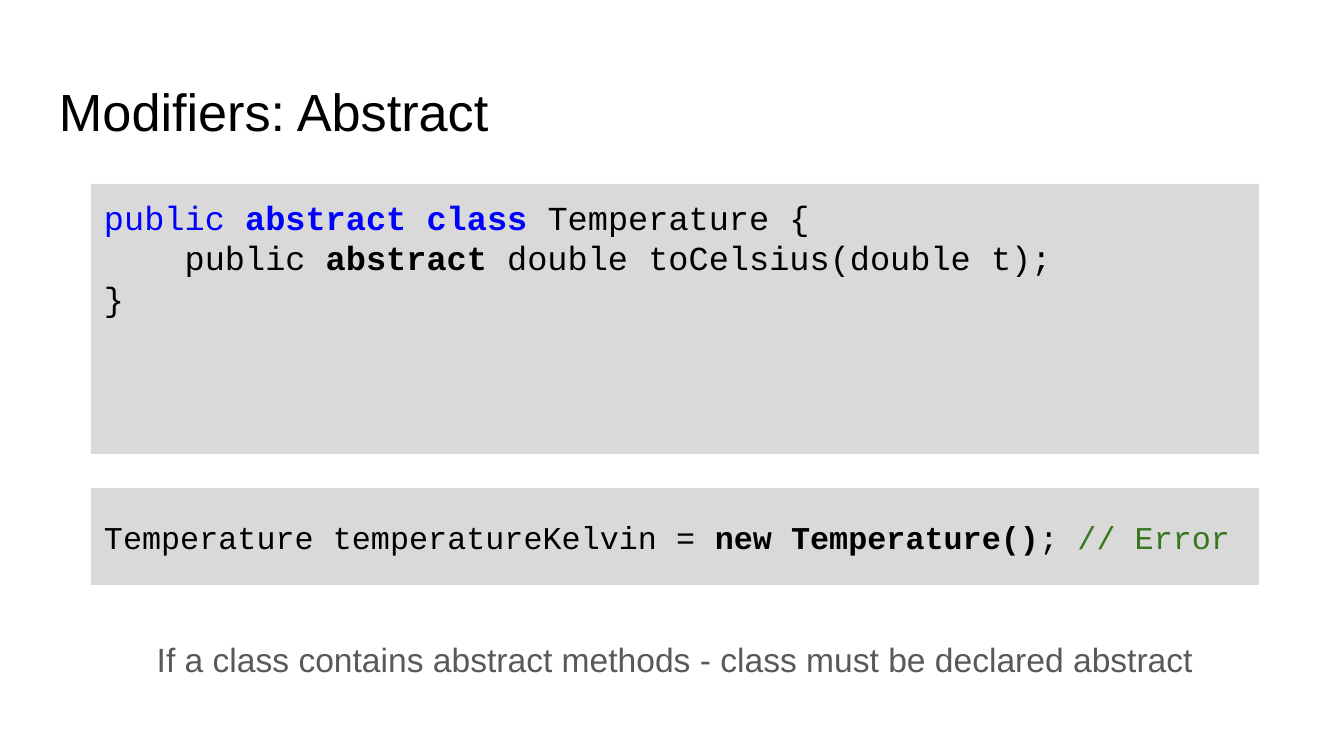
from dataclasses import dataclass
from pptx import Presentation
from pptx.dml.color import RGBColor as Rgb
from pptx.enum.shapes import MSO_SHAPE as Shape
from pptx.enum.text import MSO_ANCHOR as Anchor, MSO_AUTO_SIZE as Fit, PP_ALIGN as Align
from pptx.util import Emu, Pt


@dataclass(frozen=True)
class Theme:
    sans: str = "Arial"
    mono: str = "Courier New"
    black: str = "000000"
    blue: str = "0000FF"
    green: str = "38761D"
    gray: str = "595959"
    panel: str = "D9D9D9"
    head: int = 28
    body: int = 18
    small: int = 17


T = Theme()
LEFT, WIDE, PAD = 91, 1168, 13


def px(n):
    return Emu(round(n * 914400 / 134.4))


def place(shape, *box):
    shape.left, shape.top, shape.width, shape.height = map(px, box)


def frame(shape, anchor=Anchor.TOP):
    tf = shape.text_frame
    tf.word_wrap = True
    tf.auto_size = Fit.NONE
    tf.vertical_anchor = anchor
    tf.margin_left = tf.margin_right = tf.margin_top = tf.margin_bottom = px(PAD)
    return tf


def style(run, font, size, color, bold=False):
    run.font.name = font
    run.font.size = Pt(size)
    run.font.color.rgb = Rgb.from_string(color)
    run.font.bold = bold


def title(slide, text):
    shape = slide.shapes.title
    place(shape, 46, 66, 1253, 84)
    para = frame(shape).paragraphs[0]
    para.text = text
    para.alignment = Align.LEFT
    style(para.runs[0], T.sans, T.head, T.black)


def code(slide, top, high, lines, size, anchor=Anchor.TOP):
    """Each line is (indent in characters, [(text, color, bold), ...])."""
    shape = slide.shapes.add_shape(Shape.RECTANGLE, *map(px, (LEFT, top, WIDE, high)))
    shape.shadow.inherit = False
    shape.fill.solid()
    shape.fill.fore_color.rgb = Rgb.from_string(T.panel)
    shape.line.fill.background()
    tf = frame(shape, anchor)
    for i, (depth, parts) in enumerate(lines):
        para = tf.add_paragraph() if i else tf.paragraphs[0]
        para.alignment = Align.LEFT
        # A monospaced character is 0.6 of the type size wide
        para._p.get_or_add_pPr().set("marL", str(Pt(depth * size * 0.6)))
        for text, color, bold in parts:
            run = para.add_run()
            run.text = text
            style(run, T.mono, size, color, bold)


def note(slide, text):
    shape = slide.shapes.add_textbox(*map(px, (LEFT, 620, WIDE, 90)))
    para = frame(shape).paragraphs[0]
    para.text = text
    para.alignment = Align.CENTER
    para.line_spacing = 1.15
    para.space_after = Pt(16)
    style(para.runs[0], T.sans, T.body, T.gray)


def main():
    deck = Presentation()
    deck.slide_width, deck.slide_height = px(1344), px(756)
    slide = deck.slides.add_slide(deck.slide_layouts[5])

    # Heading
    title(slide, "Modifiers: Abstract")

    # Class declaration
    code(slide, 184, 270, [
        (0, [("public ", T.blue, False),
             ("abstract class ", T.blue, True),
             ("Temperature {", T.black, False)]),
        (4, [("public ", T.black, False),
             ("abstract", T.black, True),
             (" double toCelsius(double t);", T.black, False)]),
        (0, [("}", T.black, False)]),
    ], T.body)

    # Failing call
    code(slide, 488, 97, [
        (0, [("Temperature temperatureKelvin = ", T.black, False),
             ("new Temperature()", T.black, True),
             (";", T.black, False),
             (" // Error", T.green, False)]),
    ], T.small, Anchor.MIDDLE)

    # Rule
    note(slide, "If a class contains abstract methods - class must be declared abstract")

    deck.save("out.pptx")


main()
